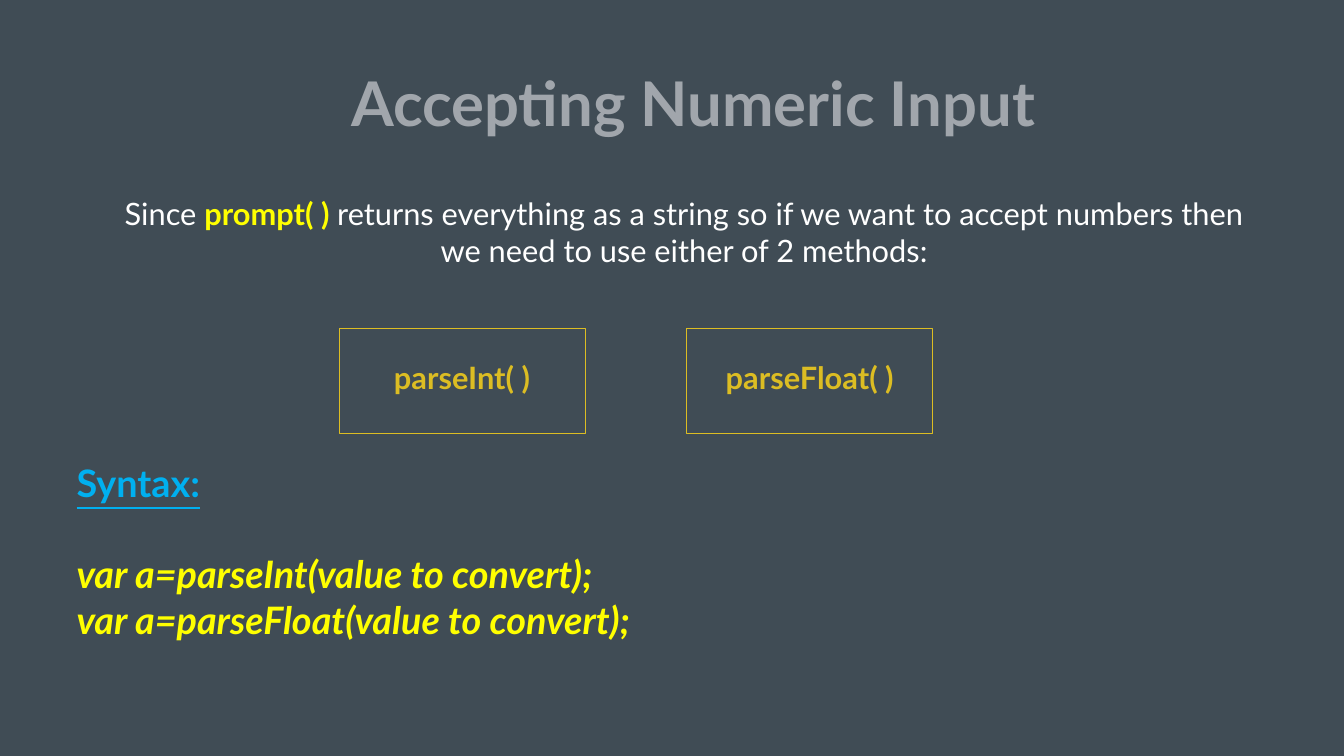
from dataclasses import dataclass

from pptx import Presentation
from pptx.dml.color import RGBColor as Rgb
from pptx.enum.shapes import MSO_SHAPE as Shape
from pptx.enum.text import MSO_ANCHOR as Anchor, MSO_AUTO_SIZE as AutoSize, PP_ALIGN as Align
from pptx.util import Inches, Pt

WIDTH, HEIGHT = Inches(26.67), Inches(15)
PADDING = Inches(0.08)


@dataclass(frozen=True)
class Theme:
    font: str = "Lato"
    background: str = "404C55"
    title: str = "A1A6AC"
    body: str = "FFFFFF"
    code: str = "FFFF00"
    heading: str = "00B0F0"
    button: str = "DCBD23"
    title_size: int = 88
    body_size: int = 44
    syntax_size: int = 54


THEME = Theme()


def place(left, top, width, height):
    """Turn percentages of the slide into lengths."""
    return (int(WIDTH * left / 100), int(HEIGHT * top / 100),
            int(WIDTH * width / 100), int(HEIGHT * height / 100))


def prepare(frame, anchor, padding=PADDING):
    frame.word_wrap = True
    frame.auto_size = AutoSize.NONE
    frame.vertical_anchor = anchor
    frame.margin_left = frame.margin_right = padding
    frame.margin_top = frame.margin_bottom = padding
    return frame


def add_span(para, text, size, color, bold=False, italic=False, underline=False):
    span = para.add_run()
    span.text = text
    font = span.font
    font.name, font.size, font.color.rgb = THEME.font, Pt(size), Rgb.from_string(color)
    font.bold, font.italic, font.underline = bold, italic, underline


def add_title(page, box):
    title = page.shapes.title
    title.left, title.top, title.width, title.height = place(*box)
    para = prepare(title.text_frame, Anchor.MIDDLE).paragraphs[0]
    para.alignment = Align.CENTER
    add_span(para, "Accepting Numeric Input", THEME.title_size, THEME.title, bold=True)


def add_intro(page, box):
    intro = page.shapes.add_textbox(*place(*box))
    para = prepare(intro.text_frame, Anchor.TOP, padding=0).paragraphs[0]
    para.alignment = Align.CENTER
    add_span(para, "Since ", THEME.body_size, THEME.body)
    add_span(para, "prompt( ) ", THEME.body_size, THEME.code, bold=True)
    add_span(para, "returns everything as a string so if we want to accept numbers "
                   "then we need to use either of 2 methods:", THEME.body_size, THEME.body)


def add_methods(page, box, names, gap):
    """Outlined boxes of equal width, side by side."""
    left, top, width, height = box
    column = (width - gap * (len(names) - 1)) / len(names)
    for index, name in enumerate(names):
        button = page.shapes.add_shape(
            Shape.RECTANGLE, *place(left + index * (column + gap), top, column, height))
        button.shadow.inherit = False
        button.fill.background()
        button.line.color.rgb = Rgb.from_string(THEME.button)
        button.line.width = Pt(1)
        frame = prepare(button.text_frame, Anchor.MIDDLE)
        frame.margin_bottom = PADDING * 3  # lifts the label slightly
        para = frame.paragraphs[0]
        para.alignment = Align.CENTER
        add_span(para, name, THEME.body_size, THEME.button, bold=True)


def add_syntax(page, box, lines):
    syntax = page.shapes.add_textbox(*place(*box))
    frame = prepare(syntax.text_frame, Anchor.TOP)
    add_span(frame.paragraphs[0], "Syntax:", THEME.syntax_size, THEME.heading,
             bold=True, underline=True)
    # One line of space separates the heading from the code
    frame.paragraphs[0].space_after = Pt(THEME.syntax_size * 1.2)
    for line in lines:
        add_span(frame.add_paragraph(), line, THEME.syntax_size, THEME.code,
                 bold=True, italic=True)


def main():
    deck = Presentation()
    deck.slide_width, deck.slide_height = WIDTH, HEIGHT
    page = deck.slides.add_slide(deck.slide_layouts.get_by_name("Title Only"))
    page.background.fill.solid()
    page.background.fill.fore_color.rgb = Rgb.from_string(THEME.background)

    # Boxes are left, top, width and height in percent of the slide
    add_title(page, (5.77, 8, 91.6, 10.93))
    add_intro(page, (8.17, 25.8, 85.49, 14.8))
    add_methods(page, (25.23, 43.47, 44.17, 13.8), ["parseInt( )", "parseFloat( )"], gap=7.57)
    add_syntax(page, (5.4, 60.33, 59.09, 31.33),
               ["var a=parseInt(value to convert);", "var a=parseFloat(value to convert);"])
    deck.save("out.pptx")


if __name__ == "__main__":
    main()
